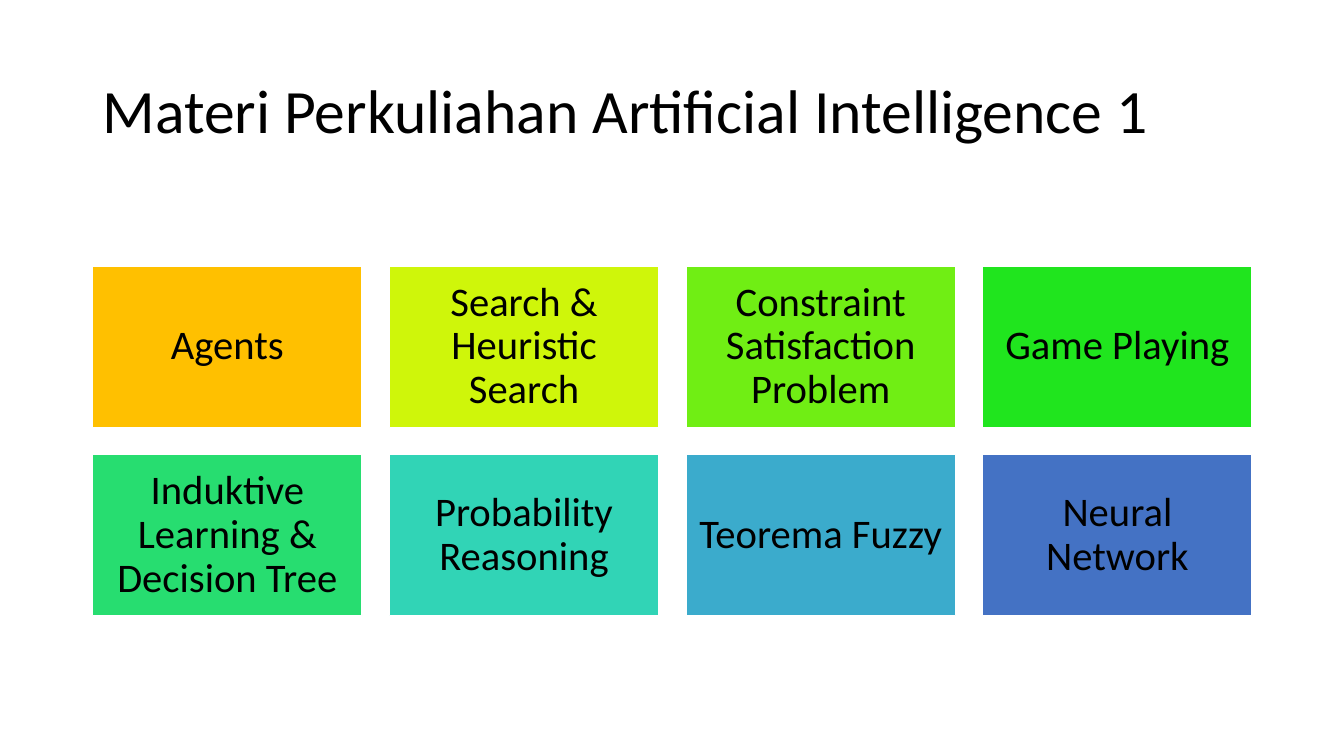
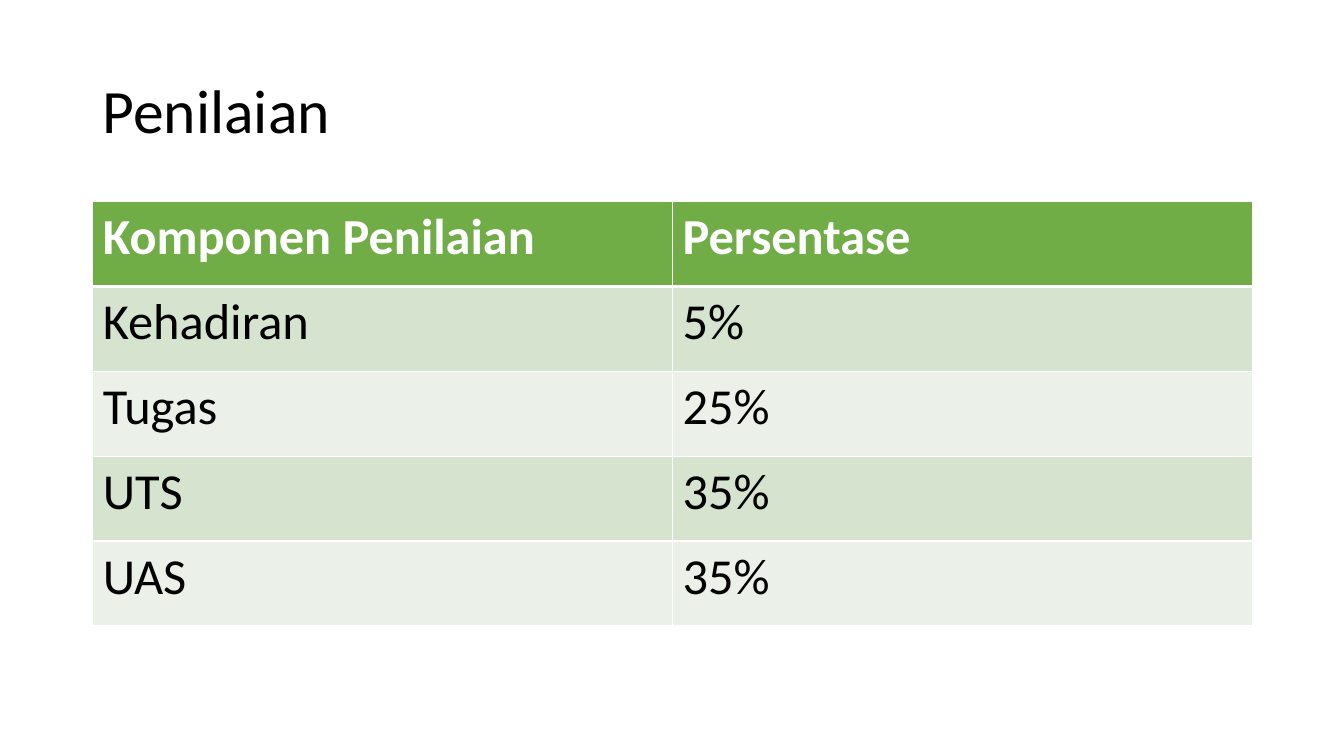
from lxml.etree import SubElement
from pptx import Presentation
from pptx.dml.color import RGBColor
from pptx.enum.shapes import MSO_SHAPE
from pptx.enum.text import MSO_ANCHOR, PP_ALIGN
from pptx.oxml.ns import qn
from pptx.util import Inches, Pt

# Shared style
FONT = "Calibri"
LEFT, WIDTH = 0.92, 11.5
COLORS = {
    "text": "000000", "white": "FFFFFF",
    "header": "70AD47", "band_dark": "D5E3CF", "band_light": "EBF1E9",
}

# Content
TOPICS = [
    ("Agents", "FFC000"),
    ("Search & Heuristic Search", "CFF60A"),
    ("Constraint Satisfaction Problem", "70EE14"),
    ("Game Playing", "20E51E"),
    ("Induktive Learning & Decision Tree", "27DD70"),
    ("Probability Reasoning", "31D4B6"),
    ("Teorema Fuzzy", "3BABCC"),
    ("Neural Network", "4472C4"),
]
GRADING = [
    ("Komponen Penilaian", "Persentase"),
    ("Kehadiran", "5%"),
    ("Tugas", "25%"),
    ("UTS", "35%"),
    ("UAS", "35%"),
]


def write(frame, text, size, color=COLORS["text"], bold=False,
          align=PP_ALIGN.LEFT, line_spacing=1.0):
    frame.text = text
    frame.word_wrap = True
    paragraph = frame.paragraphs[0]
    paragraph.alignment = align
    paragraph.line_spacing = line_spacing
    font = paragraph.runs[0].font
    font.name, font.size, font.bold = FONT, Pt(size), bold
    font.color.rgb = RGBColor.from_string(color)


def add_titled_slide(prs, title):
    slide = prs.slides.add_slide(prs.slide_layouts[6])
    heading = slide.shapes.add_textbox(
        Inches(LEFT), Inches(0.4), Inches(WIDTH), Inches(1.45))
    write(heading.text_frame, title, 44, line_spacing=0.9)
    heading.text_frame.vertical_anchor = MSO_ANCHOR.MIDDLE
    return slide


def add_tile(slide, label, color, left, top, width, height):
    tile = slide.shapes.add_shape(
        MSO_SHAPE.RECTANGLE, Inches(left), Inches(top), Inches(width), Inches(height))
    tile.shadow.inherit = False
    tile.fill.solid()
    tile.fill.fore_color.rgb = RGBColor.from_string(color)
    tile.line.color.rgb = RGBColor.from_string(COLORS["white"])
    tile.line.width = Pt(1)
    frame = tile.text_frame
    write(frame, label, 29, align=PP_ALIGN.CENTER, line_spacing=0.9)
    frame.vertical_anchor = MSO_ANCHOR.MIDDLE
    frame.margin_left = frame.margin_right = Inches(0.12)
    frame.margin_top = frame.margin_bottom = Inches(0.12)


def add_tile_grid(slide, topics, top, columns=4, gap=0.27, height=1.6):
    width = (WIDTH - gap * (columns - 1)) / columns
    for index, (label, color) in enumerate(topics):
        row, column = divmod(index, columns)
        add_tile(slide, label, color, LEFT + column * (width + gap),
                 top + row * (height + gap), width, height)


def set_borders(cell, widths):
    """Draw white borders; widths maps an edge tag to points."""
    properties = cell._tc.get_or_add_tcPr()
    for edge, points in widths.items():
        border = SubElement(properties, qn(f"a:{edge}"), w=str(Pt(points)))
        fill = SubElement(border, qn("a:solidFill"))
        SubElement(fill, qn("a:srgbClr"), val=COLORS["white"])


def add_grading_table(slide, rows, top, height):
    table = slide.shapes.add_table(
        len(rows), len(rows[0]), Inches(LEFT), Inches(top),
        Inches(WIDTH), Inches(height)).table
    for r, values in enumerate(rows):
        is_header = r == 0
        band = "header" if is_header else "band_dark" if r % 2 else "band_light"
        for c, value in enumerate(values):
            cell = table.cell(r, c)
            # The rule under the header is heavier than the others
            set_borders(cell, {"lnL": 1, "lnR": 1, "lnT": 3 if r == 1 else 1,
                               "lnB": 3 if is_header else 1})
            cell.fill.solid()
            cell.fill.fore_color.rgb = RGBColor.from_string(COLORS[band])
            write(cell.text_frame, value, 36, bold=is_header,
                  color=COLORS["white" if is_header else "text"])


def main():
    prs = Presentation()
    prs.slide_width, prs.slide_height = Inches(13.33), Inches(7.5)

    # Course topics
    topics = add_titled_slide(prs, "Materi Perkuliahan Artificial Intelligence 1")
    add_tile_grid(topics, TOPICS, top=2.64)

    # Grading
    grading = add_titled_slide(prs, "Penilaian")
    add_grading_table(grading, GRADING, top=2, height=4.21)

    prs.save("out.pptx")


main()
